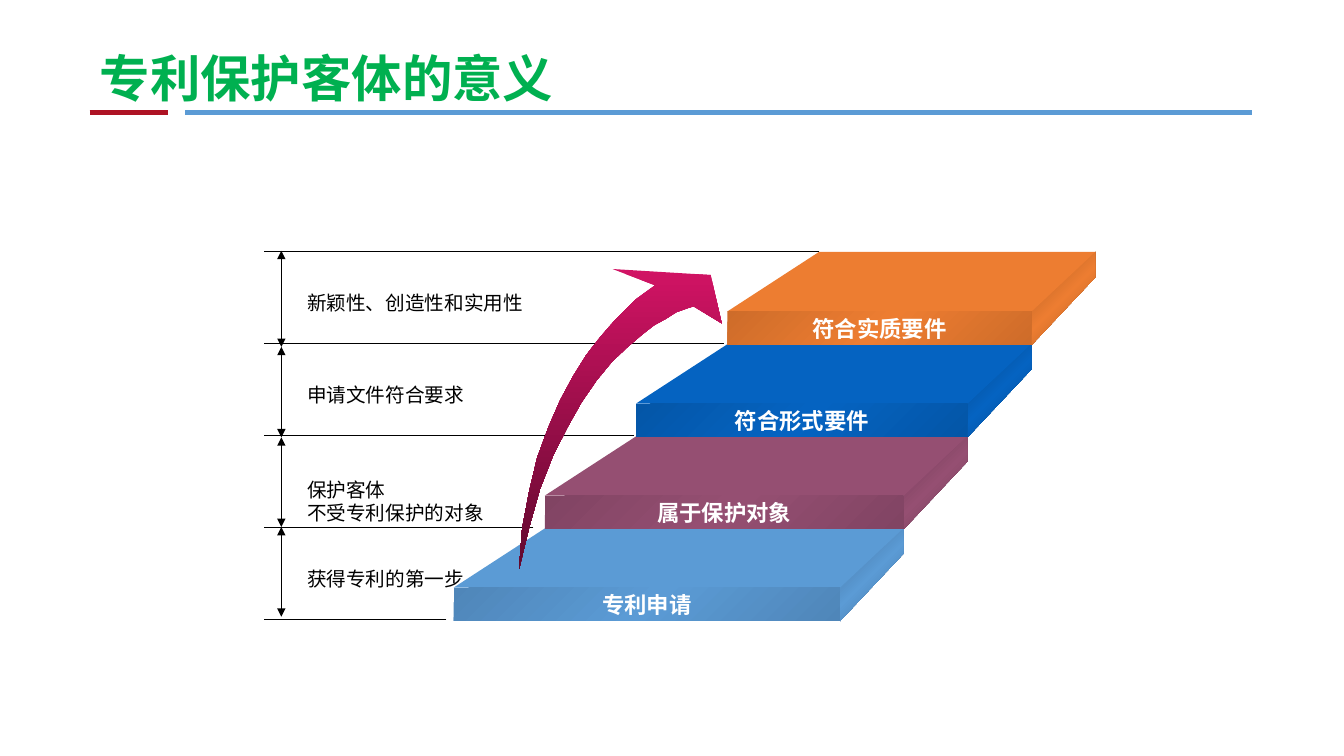
from lxml import etree
from pptx import Presentation
from pptx import util as u
from pptx.dml.color import RGBColor
from pptx.enum import shapes, text
from pptx.oxml.ns import qn

COLORS = {
    "title": "00B050", "accent": "AE1324", "rule": "5B9BD5",
    "ink": "000000", "white": "FFFFFF",
    "apply": "5B9BD5", "subject": "954F72", "form": "0563C1", "merit": "ED7D31",
    "arrow": "D11364", "arrow_dark": "61092E",
}
STEPS = [("专利申请", "apply"), ("属于保护对象", "subject"),
         ("符合形式要件", "form"), ("符合实质要件", "merit")]
NOTES = [(7.21, 5.99, 0.86, ["新颖性、创造性和实用性"]),
         (9.53, 4.5, 0.86, ["申请文件符合要求"]),
         (11.91, 5.0, 1.45, ["保护客体", "不受专利保护的对象"]),
         (14.15, 4.5, 0.86, ["获得专利的第一步"])]
GUIDE_ENDS = [11.25, 13.44, 15.98, 18.24, 20.65]
SPANS = [6.32, 8.74, 11.02, 13.28, 15.54]
ARROW = [
    (13.08, 14.35), (13.16, 13.31), (13.34, 12.37), (13.54, 11.53), (13.82, 10.77),
    (14.12, 10.08), (14.45, 9.47), (14.78, 8.94), (15.14, 8.48), (15.47, 8.1),
    (15.77, 7.8), (16.03, 7.54), (16.26, 7.37), (16.51, 7.19),
    (15.44, 6.78), (17.91, 6.93), (18.19, 8.15),
    (17.48, 7.72), (17.32, 7.77), (17.04, 7.87), (16.79, 8.03), (16.48, 8.2),
    (16.15, 8.46), (15.8, 8.76), (15.42, 9.12), (15.04, 9.58), (14.66, 10.13),
    (14.3, 10.77), (13.94, 11.48), (13.61, 12.32), (13.34, 13.28),
]


def shade(color, factor):
    return "".join(f"{int(int(color[i:i + 2], 16) * factor):02X}" for i in (0, 2, 4))


class Deck:
    font = "DejaVu Sans"
    title_font = "Arial Narrow"

    def __init__(self, prs):
        self.slide = prs.slides.add_slide(prs.slide_layouts[5])

    def add_text(self, p, words, size, color, bold=False, font=None):
        r = p.add_run()
        r.text = words
        r.font.name = font or self.font
        r.font.size = u.Pt(size)
        r.font.bold = bold
        r.font.color.rgb = RGBColor.from_string(COLORS[color])

    def title(self, words, x, y, w, h):
        sp = self.slide.shapes.title
        sp.left, sp.top, sp.width, sp.height = map(u.Cm, (x, y, w, h))
        tf = sp.text_frame
        tf.auto_size = text.MSO_AUTO_SIZE.NONE
        tf.vertical_anchor = text.MSO_ANCHOR.BOTTOM
        p = tf.paragraphs[0]
        p.alignment = text.PP_ALIGN.LEFT
        self.add_text(p, words, 36, "title", True, self.title_font)

    def line(self, x1, y1, x2, y2, color="ink", width=0.75, arrows=False):
        sp = self.slide.shapes.add_connector(
            shapes.MSO_CONNECTOR.STRAIGHT, *map(u.Cm, (x1, y1, x2, y2)))
        sp.line.color.rgb = RGBColor.from_string(COLORS[color])
        sp.line.width = u.Pt(width)
        if arrows:
            ln = sp._element.spPr.find(qn("a:ln"))
            for end in ("a:headEnd", "a:tailEnd"):
                etree.SubElement(ln, qn(end), type="triangle")
        etree.SubElement(sp._element.spPr, qn("a:effectLst"))

    def paint(self, sp, stops, angle=45):
        sp.shadow.inherit = False
        sp.line.fill.background()
        if len(stops) == 1:
            sp.fill.solid()
            sp.fill.fore_color.rgb = RGBColor.from_string(stops[0])
            return
        sp.fill.gradient()
        sp.fill.gradient_angle = 360 - angle
        gs_list = sp._element.spPr.find(qn("a:gradFill")).find(qn("a:gsLst"))
        for gs in list(gs_list):
            gs_list.remove(gs)
        for i, color in enumerate(stops):
            gs = etree.SubElement(gs_list, qn("a:gs"), pos=str(100000 * i // (len(stops) - 1)))
            etree.SubElement(gs, qn("a:srgbClr"), val=color)

    def outline(self, points, stops, angle=45):
        points = [(u.Cm(x), u.Cm(y)) for x, y in points]
        builder = self.slide.shapes.build_freeform(*points[0], scale=1.0)
        builder.add_line_segments(points[1:], close=True)
        self.paint(builder.convert_to_shape(), stops, angle)

    def front(self, words, x, y, w, h, stops):
        sp = self.slide.shapes.add_shape(
            shapes.MSO_SHAPE.RECTANGLE, *map(u.Cm, (x, y, w, h)))
        self.paint(sp, stops)
        tf = sp.text_frame
        tf.word_wrap = False
        tf.vertical_anchor = text.MSO_ANCHOR.MIDDLE
        p = tf.paragraphs[0]
        p.alignment = text.PP_ALIGN.CENTER
        self.add_text(p, words, 16, "white", True)

    def slab(self, words, color, left, right, y):
        h, depth, side_h = 0.84, 1.5, 0.64
        back_left, back_right, back = left + 2.31, right + 1.6, y - depth
        base = COLORS[color]
        side_dark, front_dark = shade(base, 0.72), shade(base, 0.87)
        self.outline([(back_right, back + side_h), (right, y + h), (right, y),
                      (back_right, back)], [side_dark, base, side_dark])
        self.outline([(right, y), (left, y), (back_left, back), (back_right, back)], [base])
        self.front(words, left, y, right - left, h, [front_dark, base, front_dark])

    def note(self, lines, x, y, w, h):
        tf = self.slide.shapes.add_textbox(*map(u.Cm, (x, y, w, h))).text_frame
        tf.word_wrap = False
        tf.auto_size = text.MSO_AUTO_SIZE.SHAPE_TO_FIT_TEXT
        for i, words in enumerate(lines):
            p = tf.add_paragraph() if i else tf.paragraphs[0]
            self.add_text(p, words, 14, "ink")


def main():
    prs = Presentation()
    prs.slide_width, prs.slide_height = u.Cm(33.87), u.Cm(19.05)
    deck = Deck(prs)
    deck.line(2.26, 2.84, 4.24, 2.84, "accent", 3.5)
    deck.line(4.67, 2.84, 31.55, 2.84, "rule", 3.5)
    deck.title("专利保护客体的意义", 2.26, 0, 29.29, 2.84)
    for i, end in enumerate(GUIDE_ENDS):
        y = 15.62 - 2.32 * i
        deck.line(end, y, 6.65, y)
    for top, bottom in zip(SPANS, SPANS[1:]):
        deck.line(7.09, top, 7.09, bottom, arrows=True)
    for y, w, h, lines in NOTES:
        deck.note(lines, 7.49, y, w, h)
    for i, (words, color) in enumerate(STEPS):
        deck.slab(words, color, 11.43 + 2.3 * i, 21.17 + 1.61 * i, 14.81 - 2.32 * i)
    deck.outline(ARROW, [COLORS["arrow"], COLORS["arrow_dark"]], 90)
    prs.save("out.pptx")


if __name__ == "__main__":
    main()
